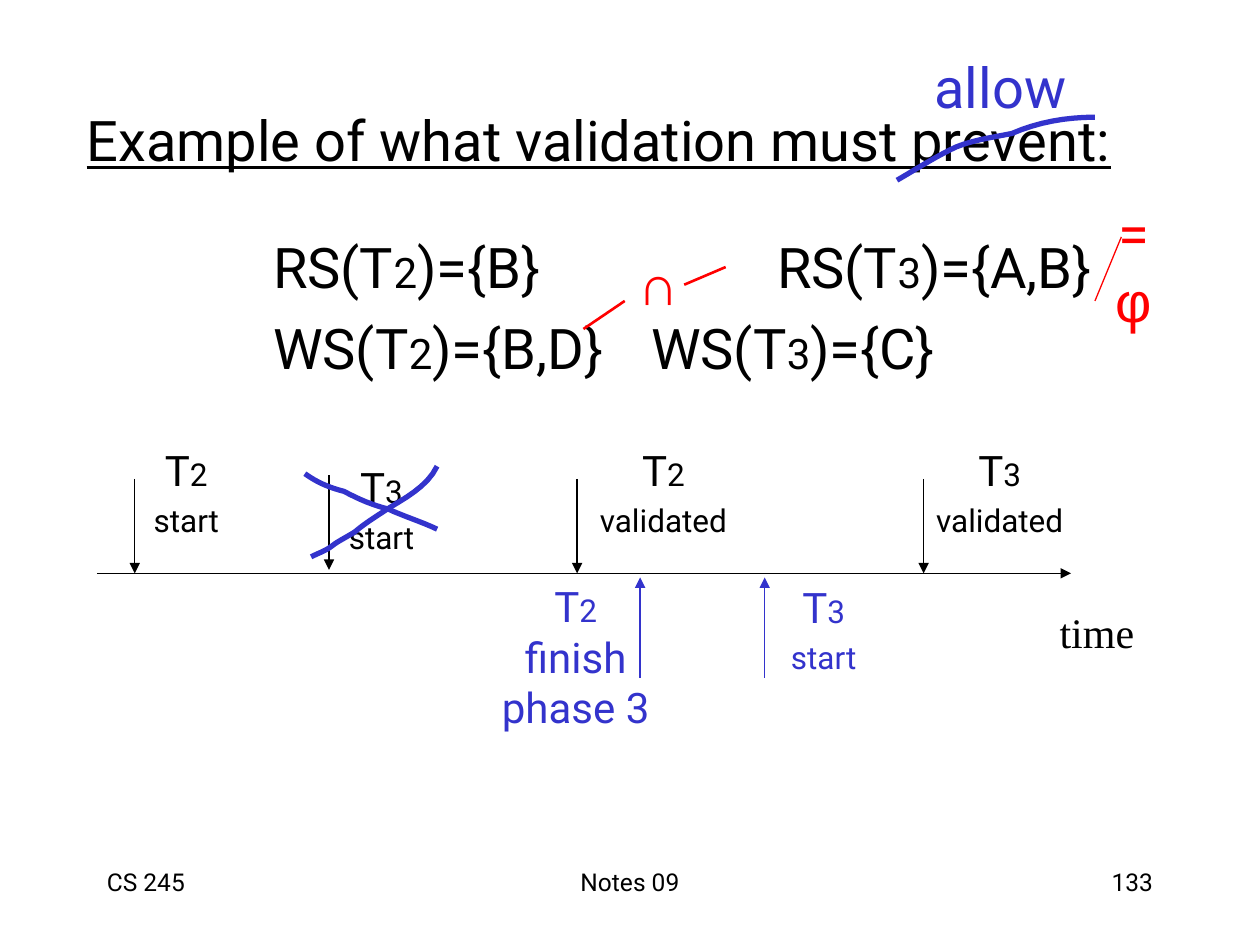
import pptx
import pptx.dml.color
import pptx.enum.text
import pptx.oxml
import pptx.oxml.ns
import pptx.util

Pt = pptx.util.Pt
ALIGN = pptx.enum.text.PP_ALIGN
ANCHOR = pptx.enum.text.MSO_ANCHOR
BLACK, BLUE, RED = "000000", "3333CC", "FF0000"


def rgb(color):
    return pptx.dml.color.RGBColor.from_string(color)


def element(tag):
    return pptx.oxml.parse_xml(f"<a:{tag} {pptx.oxml.ns.nsdecls('a')}/>")


def assign(target, values):
    for name, value in values.items():
        setattr(target, name, value)


class Slide:
    font = "Roboto"
    head_size, text_size, small_size, footer_size = 32, 24, 18, 14
    label_gap = 11.2

    def __init__(self, prs):
        self.s = prs.slides.add_slide(prs.slide_layouts[6])

    def text(self, box, paragraphs, color=BLACK, align=ALIGN.CENTER,
             anchor=ANCHOR.MIDDLE, wrap=False):
        tf = self.s.shapes.add_textbox(*map(Pt, box)).text_frame
        assign(tf, {"word_wrap": wrap, "vertical_anchor": anchor})
        for i, (runs, fmt) in enumerate(paragraphs):
            p = tf.add_paragraph() if i else tf.paragraphs[0]
            fmt = dict(fmt)
            tab = fmt.pop("tab", None)
            assign(p, {"alignment": align, **fmt})
            if tab:
                tabs = element("tabLst")
                stop = element("tab")
                stop.set("pos", str(Pt(tab)))
                stop.set("algn", "l")
                tabs.append(stop)
                p._p.get_or_add_pPr().append(tabs)
            for content, size, *extra in runs:
                r = p.add_run()
                r.text = content
                font = {"name": self.font, "size": Pt(size)}
                assign(r.font, font | (extra[0] if extra else {}))
                r.font.color.rgb = rgb(color)

    def footer(self, x, w, content, align):
        self.text((x, 492, w, 36), [([(content, self.footer_size)], {})],
                  align=align, anchor=ANCHOR.TOP, wrap=True)

    def formulas(self, box, rows):
        paragraphs = []
        for i, (tab, parts) in enumerate(rows):
            runs = [(part, self.text_size if part.isdigit() else self.head_size)
                    for part in parts]
            fmt = {"tab": tab, "space_before": Pt(8 if i else 0)}
            paragraphs.append((runs, fmt))
        self.text(box, paragraphs, align=ALIGN.LEFT, anchor=ANCHOR.TOP, wrap=True)

    def transaction(self, number):
        return [("T", self.text_size), (number, self.small_size)], {}

    def event(self, x, y, w, number, action, color=BLACK):
        fmt = {"line_spacing": 0.6, "space_before": Pt(self.label_gap)}
        self.text((x, y, w, 60.5),
                  [self.transaction(number), ([(action, self.small_size)], fmt)],
                  color)

    def line(self, x1, y1, x2, y2, color=BLACK, width=0.75, arrow=False):
        sp = self.s.shapes.add_connector(1, Pt(x1), Pt(y1), Pt(x2), Pt(y2))
        sp.line.color.rgb = rgb(color)
        sp.line.width = Pt(width)
        if arrow:
            tail = element("tailEnd")
            tail.set("type", "triangle")
            sp.line._get_or_add_ln().append(tail)
        sp._element.spPr.append(element("effectLst"))

    def stroke(self, points, color=BLUE, width=3, steps=8):
        curve = []
        for i in range(0, len(points) - 1, 3):
            a, b, c, d = points[i:i + 4]
            for n in range(1, steps + 1):
                t = n / steps
                u = 1 - t
                curve.append(tuple(
                    Pt(u**3 * a[k] + 3 * u * u * t * b[k]
                       + 3 * u * t * t * c[k] + t**3 * d[k]) for k in (0, 1)))
        builder = self.s.shapes.build_freeform(*map(Pt, points[0]))
        builder.add_line_segments(curve, close=False)
        sp = builder.convert_to_shape()
        sp.shadow.inherit = False
        sp.fill.background()
        sp.line.color.rgb = rgb(color)
        sp.line.width = Pt(width)


def main():
    prs = pptx.Presentation()
    assign(prs, {"slide_width": Pt(720), "slide_height": Pt(540)})
    s = Slide(prs)

    s.footer(54, 150, "CS 245", ALIGN.LEFT)
    s.footer(246, 228, "Notes 09", ALIGN.CENTER)
    s.footer(516, 150, "133", ALIGN.RIGHT)

    s.text((42.5, 41.8, 612, 75.6),
           [([("Example of what validation must prevent:", s.head_size,
               {"underline": True})], {})], align=ALIGN.LEFT, wrap=True)
    s.formulas((149, 129.5, 520, 100), [
        (288, ["RS(T", "2", ")={B}\tRS(T", "3", ")={A,B}"]),
        (216, ["WS(T", "2", ")={B,D}\tWS(T", "3", ")={C}"]),
    ])

    axis = 327.6
    s.line(55.4, axis, 612, axis, arrow=True)
    for x, end in ((77, axis), (188, 325.6), (329.8, axis), (527.8, axis)):
        s.line(x, end - 54, x, end, arrow=True)
    for x in (365.8, 437):
        s.line(x, 387.4, x, 330, BLUE, arrow=True)

    s.event(80, 250, 53, "2", "start")
    s.event(191.5, 260, 53, "3", "start")
    s.event(333.4, 250, 91.4, "2", "validated")
    s.event(525.6, 250, 91.4, "3", "validated")
    s.event(444.2, 328.3, 53, "3", "start", BLUE)
    s.text((278, 328.3, 102, 93.6),
           [s.transaction("2")] + [([(word, s.text_size)], {})
                                   for word in ("finish", "phase 3")], BLUE)
    s.text((598.3, 342.7, 57, 36),
           [([("time", s.text_size, {"name": "Times New Roman"})], {})])

    s.text((356.4, 139, 39.6, 46),
           [([("∩", s.head_size, {"name": "Arial"})], {})], RED)
    s.line(333.4, 188, 357, 172, RED, 1.5)
    s.line(391, 162.7, 414.7, 152.6, RED, 1.5)
    s.text((623, 129, 50, 46),
           [([("= ", s.head_size), ("φ", s.head_size, {"name": "Arial"})], {})],
           RED, wrap=True)
    s.line(640.8, 135.4, 625.7, 172, RED)

    s.text((524.9, 26, 93.6, 46), [([("allow", s.head_size)], {})], BLUE)
    s.stroke([(512.6, 103), (522.7, 97.2), (532.8, 90.7), (542.9, 85.7),
              (552.2, 80.6), (567.4, 78.5), (578.2, 76.3),
              (593.3, 69.8), (609.1, 67), (625.7, 67)])
    s.stroke([(177.8, 318.2), (182.2, 316), (186.5, 314.6), (190, 311.8),
              (193.7, 308.9), (198.7, 306.7), (203, 303.8),
              (208, 299.5), (213.8, 295.9), (220.3, 291.6),
              (230.4, 285.1), (244, 278.6), (249.8, 266.4)])
    s.stroke([(174.2, 270.7), (181.4, 275.8), (188, 278.6), (196.6, 280.8),
              (204.5, 285.1), (213, 288.7), (221.8, 290.9),
              (231, 295.2), (240.5, 298), (249.8, 302.4)])

    prs.save("out.pptx")


if __name__ == "__main__":
    main()
